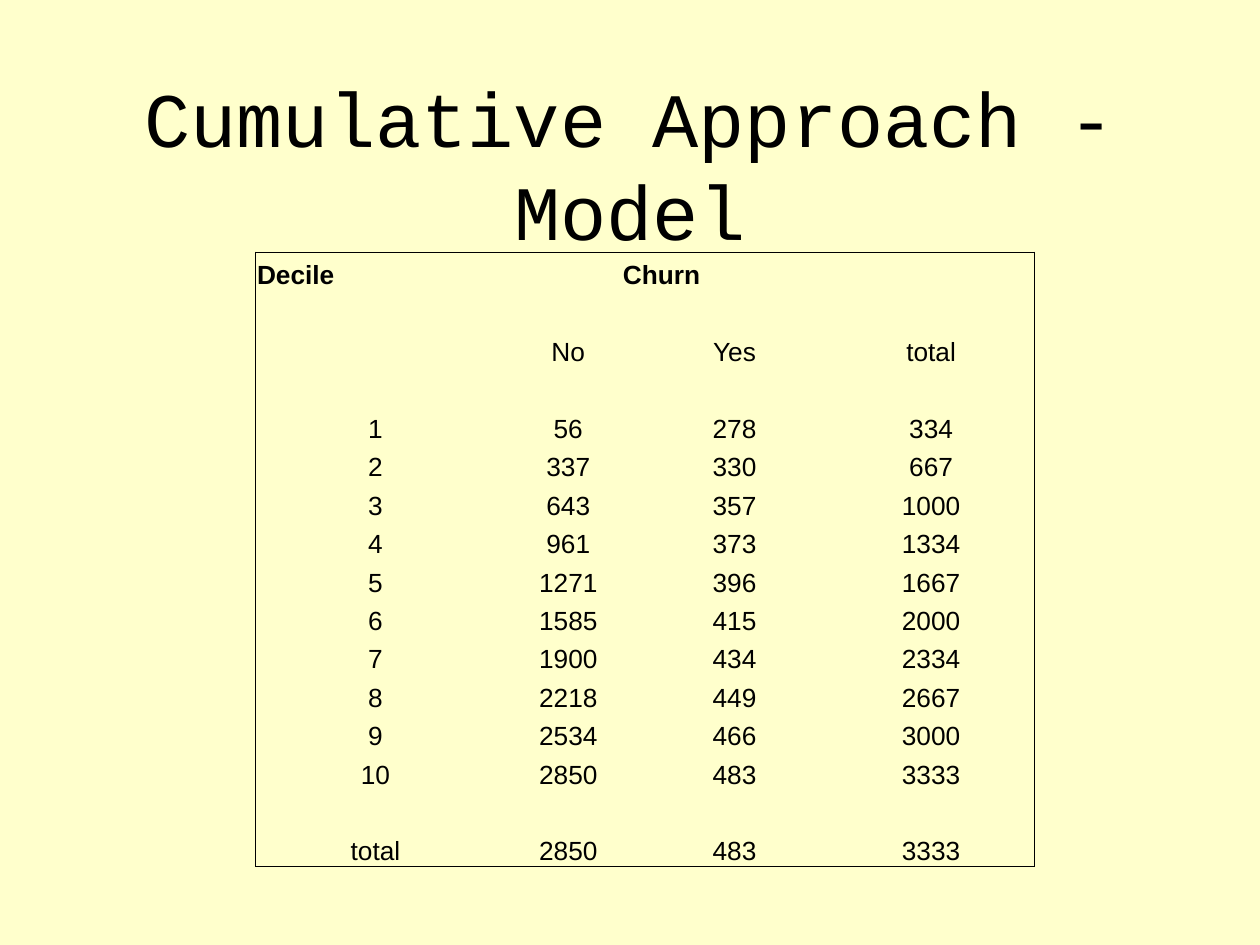
from typing import NamedTuple

import pptx
import pptx.dml.color
import pptx.enum.text
import pptx.oxml
import pptx.oxml.ns
import pptx.util

Inches = pptx.util.Inches
Pt = pptx.util.Pt
ALIGN = pptx.enum.text.PP_ALIGN
ANCHOR = pptx.enum.text.MSO_ANCHOR

INK = "000000"
PAPER = "FFFFCC"
CELL_SIZE = 15
COLUMN_WIDTHS = [1.9, 1.16, 1.48, 1.64]
TABLE_HEIGHT = 4.88


class DecileCount(NamedTuple):
    label: str
    no: int
    yes: int

    def texts(self) -> list[str]:
        return [self.label, str(self.no), str(self.yes), str(self.no + self.yes)]


CUMULATIVE_NO = [56, 337, 643, 961, 1271, 1585, 1900, 2218, 2534, 2850]
CUMULATIVE_YES = [278, 330, 357, 373, 396, 415, 434, 449, 466, 483]
DECILES = [
    DecileCount(str(decile), no, yes)
    for decile, (no, yes) in enumerate(zip(CUMULATIVE_NO, CUMULATIVE_YES), start=1)
]
BLANK_ROW = [""] * len(COLUMN_WIDTHS)
ROWS = [
    ["Decile", "Churn", "", ""],
    BLANK_ROW,
    ["", "No", "Yes", "total"],
    BLANK_ROW,
    *[count.texts() for count in DECILES],
    BLANK_ROW,
    DECILES[-1]._replace(label="total").texts(),
]


def rgb(value: str) -> pptx.dml.color.RGBColor:
    return pptx.dml.color.RGBColor.from_string(value)


def style_paragraph(paragraph, font: str, size: float, align, bold: bool = False) -> None:
    paragraph.alignment = align
    for run in paragraph.runs:
        run.font.name = font
        run.font.size = Pt(size)
        run.font.bold = bold
        run.font.color.rgb = rgb(INK)


def set_borders(cell, visible: dict[str, bool]) -> None:
    properties = cell._tc.get_or_add_tcPr()
    namespace = pptx.oxml.ns.nsdecls("a")
    for position, (side, shown) in enumerate(visible.items()):
        paint = f'<a:solidFill><a:srgbClr val="{INK}"/></a:solidFill>' if shown else "<a:noFill/>"
        border = f'<a:ln{side} {namespace} w="{Pt(0.5)}">{paint}</a:ln{side}>'
        properties.insert(position, pptx.oxml.parse_xml(border))


def fill_cell(cell, text: str, align, bold: bool) -> None:
    cell.fill.background()
    cell.vertical_anchor = ANCHOR.BOTTOM
    cell.margin_left = cell.margin_right = cell.margin_top = Inches(0.01)
    cell.margin_bottom = Inches(0)
    cell.text_frame.text = text
    paragraph = cell.text_frame.paragraphs[0]
    style_paragraph(paragraph, "Arial", CELL_SIZE, align, bold)
    if not text:
        # Keeps empty rows from growing to the default text size
        end = f'<a:endParaRPr {pptx.oxml.ns.nsdecls("a")} sz="{CELL_SIZE * 100}"/>'
        paragraph._p.append(pptx.oxml.parse_xml(end))


def add_title(slide, text: str) -> None:
    title = slide.shapes.add_textbox(Inches(0.75), Inches(0.67), Inches(8.5), Inches(1.25))
    frame = title.text_frame
    frame.word_wrap = True
    frame.vertical_anchor = ANCHOR.MIDDLE
    frame.text = text
    style_paragraph(frame.paragraphs[0], "Courier New", 44, ALIGN.CENTER)


def add_churn_table(slide) -> None:
    last_row, last_column = len(ROWS) - 1, len(COLUMN_WIDTHS) - 1
    churn = slide.shapes.add_table(
        len(ROWS), len(COLUMN_WIDTHS),
        Inches(2.03), Inches(2), Inches(sum(COLUMN_WIDTHS)), Inches(TABLE_HEIGHT),
    ).table
    churn.first_row = churn.horz_banding = False
    for column, width in zip(churn.columns, COLUMN_WIDTHS):
        column.width = Inches(width)
    for row in churn.rows:
        row.height = Inches(TABLE_HEIGHT / len(ROWS))

    for r, texts in enumerate(ROWS):
        for c, text in enumerate(texts):
            cell = churn.cell(r, c)
            align = ALIGN.LEFT if (r, c) == (0, 0) else ALIGN.CENTER
            fill_cell(cell, text, align, bold=r == 0)
            set_borders(cell, {"L": c == 0, "R": c == last_column, "T": r == 0, "B": r == last_row})
    churn.cell(0, 1).merge(churn.cell(0, 2))


# Slide
presentation = pptx.Presentation()
presentation.slide_width = Inches(10)
presentation.slide_height = Inches(7.5)
slide = presentation.slides.add_slide(presentation.slide_layouts[6])
slide.background.fill.solid()
slide.background.fill.fore_color.rgb = rgb(PAPER)

# Content
add_title(slide, "Cumulative Approach - Model")
add_churn_table(slide)

presentation.save("out.pptx")
